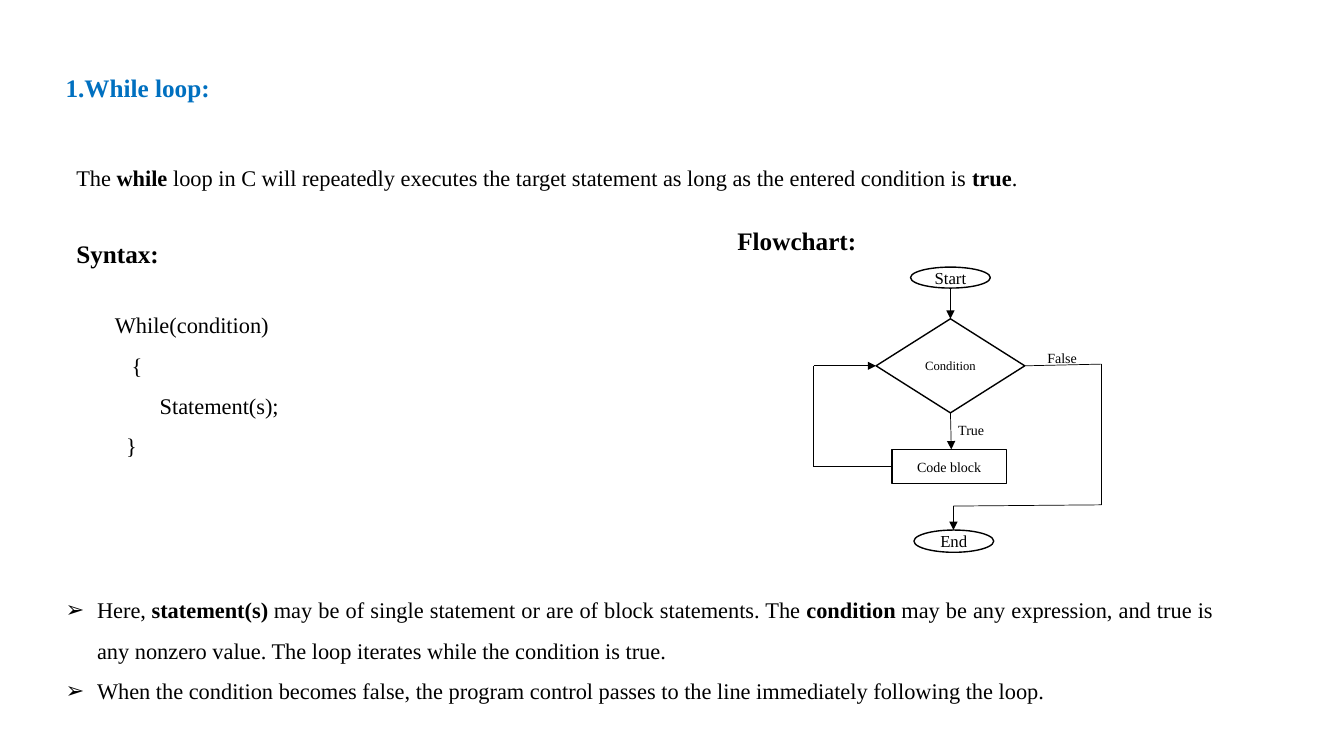
from lxml import etree
from pptx import Presentation
from pptx.dml.color import RGBColor
from pptx.enum.shapes import MSO_CONNECTOR, MSO_SHAPE
from pptx.enum.text import MSO_ANCHOR, MSO_AUTO_SIZE, PP_ALIGN
from pptx.oxml.ns import qn
from pptx.util import Inches, Pt

LEFT, CENTER, JUSTIFY = PP_ALIGN.LEFT, PP_ALIGN.CENTER, PP_ALIGN.JUSTIFY
TOP, MIDDLE = MSO_ANCHOR.TOP, MSO_ANCHOR.MIDDLE
GROW, FIXED = MSO_AUTO_SIZE.SHAPE_TO_FIT_TEXT, MSO_AUTO_SIZE.NONE
OVAL, DIAMOND, RECT = MSO_SHAPE.OVAL, MSO_SHAPE.DIAMOND, MSO_SHAPE.RECTANGLE
STRAIGHT = MSO_CONNECTOR.STRAIGHT
COLS, ROWS = 160, 90  # square cells, twelve to the inch


def color(value):
    return RGBColor.from_string(value)


def set_all(obj, values):
    for name, value in values.items():
        setattr(obj, name, value)


class Deck:
    font, ink, paper, accent = "Times New Roman", "000000", "FFFFFF", "0070C0"

    def __init__(self):
        self.prs = Presentation()
        set_all(self.prs, {"slide_width": Inches(13.33), "slide_height": Inches(7.5)})
        self.slide = self.prs.slides.add_slide(self.prs.slide_layouts[1])
        self.shapes = self.slide.shapes

    def x(self, cols):
        return round(self.prs.slide_width * cols / COLS)

    def y(self, rows):
        return round(self.prs.slide_height * rows / ROWS)

    def box(self, col, row, cols, rows):
        return self.x(col), self.y(row), self.x(cols), self.y(rows)

    def set_text(self, sp, lines, size, ink=None, bold=False, align=LEFT,
                 spacing=1.0, indents=(), bullet=None, frame=None):
        """Fill a shape with paragraphs; ** switches bold on and off."""
        tf = sp.text_frame
        set_all(tf, {"word_wrap": True, "auto_size": GROW,
                     "vertical_anchor": TOP, **(frame or {})})
        for i, line in enumerate(lines):
            p = tf.add_paragraph() if i else tf.paragraphs[0]
            set_all(p, {"alignment": align, "line_spacing": spacing, "space_before": Pt(0)})
            for n, part in enumerate(line.split("**")):
                r = p.add_run()
                r.text = part
                set_all(r.font, {"name": self.font, "size": Pt(size),
                                 "bold": bold or n % 2 == 1})
                r.font.color.rgb = color(ink or self.ink)
            pPr = p._p.get_or_add_pPr()
            if indents:
                pPr.set("marL", str(self.x(indents[i])))
            if bullet:
                pPr.set("indent", str(-self.x(indents[i])))
                etree.SubElement(pPr, qn("a:buChar")).set("char", bullet)

    def placeholder(self, sp, area, lines, size, **style):
        set_all(sp, dict(zip(("left", "top", "width", "height"), self.box(*area))))
        self.set_text(sp, lines, size, **style)

    def text(self, area, lines, size, **style):
        self.set_text(self.shapes.add_textbox(*self.box(*area)), lines, size, **style)

    def node(self, kind, area, label, size):
        sp = self.shapes.add_shape(kind, *self.box(*area))
        sp.shadow.inherit = False
        sp.fill.solid()
        sp.fill.fore_color.rgb = color(self.paper)
        sp.line.color.rgb = color(self.ink)
        sp.line.width = Pt(1)
        self.set_text(sp, [label], size, align=CENTER, frame={
            "word_wrap": False, "auto_size": FIXED, "vertical_anchor": MIDDLE,
            "margin_left": 0, "margin_right": 0, "margin_top": 0, "margin_bottom": 0})

    def route(self, *points, arrow=False):
        """Join the points with lines; an arrowhead may close the last one."""
        for (x1, y1), (x2, y2) in zip(points, points[1:]):
            line = self.shapes.add_connector(
                STRAIGHT, self.x(x1), self.y(y1), self.x(x2), self.y(y2))
            line.line.color.rgb = color(self.ink)
            line.line.width = Pt(0.5)
            etree.SubElement(line._element.spPr, qn("a:effectLst"))
        if arrow:
            ln = line._element.spPr.find(qn("a:ln"))
            etree.SubElement(ln, qn("a:tailEnd")).set("type", "triangle")


deck = Deck()
title, body = deck.slide.placeholders

# Title and introduction
deck.placeholder(title, (6.6, 8, 23.5, 4.8), ["1.While loop:"], 18,
                 ink=deck.accent, bold=True)
deck.text((7.9, 19, 115, 4.4),
          ["The **while **loop in C will repeatedly executes the target statement "
           "as long as the entered condition is **true**."], 16, align=JUSTIFY)

# Syntax
deck.text((7.9, 27.8, 16.2, 4.8), ["Syntax:"], 18, bold=True)
deck.text((12.5, 34.9, 27.2, 20), ["While(condition)", "{", "Statement(s);", "}"],
          16, spacing=1.5, indents=(0, 2, 5.33, 1.33))

# Explanation
deck.placeholder(body, (6.6, 68.8, 139, 15.1), [
    "Here,\u00a0**statement(s)**\u00a0may be of single statement or are of block "
    "statements. The\u00a0**condition**\u00a0may be any expression, and true is any "
    "nonzero value. The loop iterates while the condition is true.",
    "When the condition becomes false, the program control passes to the line "
    "immediately following the loop."],
    16, align=JUSTIFY, spacing=1.5, indents=(3.75, 3.75), bullet="\u27a2")

# Flowchart nodes
deck.text((86.6, 26.2, 24.4, 4.8), ["Flowchart:"], 18, bold=True)
for kind, area, label, size in [
    (OVAL, (108.4, 31.8, 9.5, 2.5), "Start", 12),
    (OVAL, (108.8, 63.1, 9.5, 2.65), "End", 12),
    (DIAMOND, (104.3, 37.95, 17.7, 11.2), "Condition", 9),
    (RECT, (106.2, 53.5, 13.6, 4.1), "Code block", 10),
]:
    deck.node(kind, area, label, size)
deck.text((123.5, 41, 6.8, 3.2), ["False"], 10)
deck.text((112.9, 49.6, 6, 3.2), ["True"], 10)

# Flowchart routes: entry, true branch, loop back, false branch
deck.route((113.15, 34.3), (113.15, 37.95), arrow=True)
deck.route((113.15, 49.15), (113.25, 53.5), arrow=True)
deck.route((106.2, 55.55), (96.85, 55.55), (96.85, 43.55), (104.3, 43.55), arrow=True)
deck.route((122, 43.55), (131.15, 43.35), (131.15, 60.1), (113.5, 60.25),
           (113.5, 63.1), arrow=True)

deck.prs.save("out.pptx")
